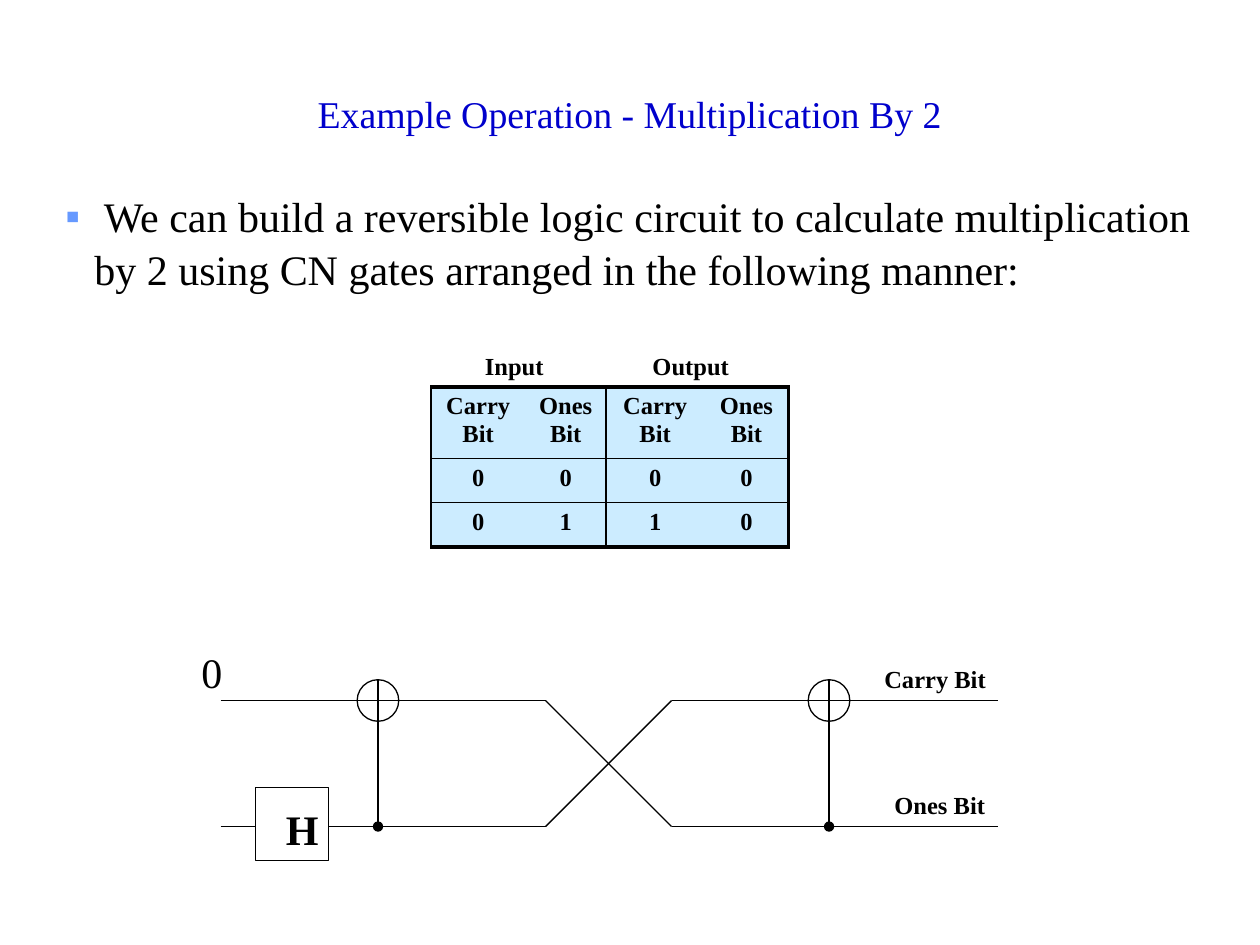
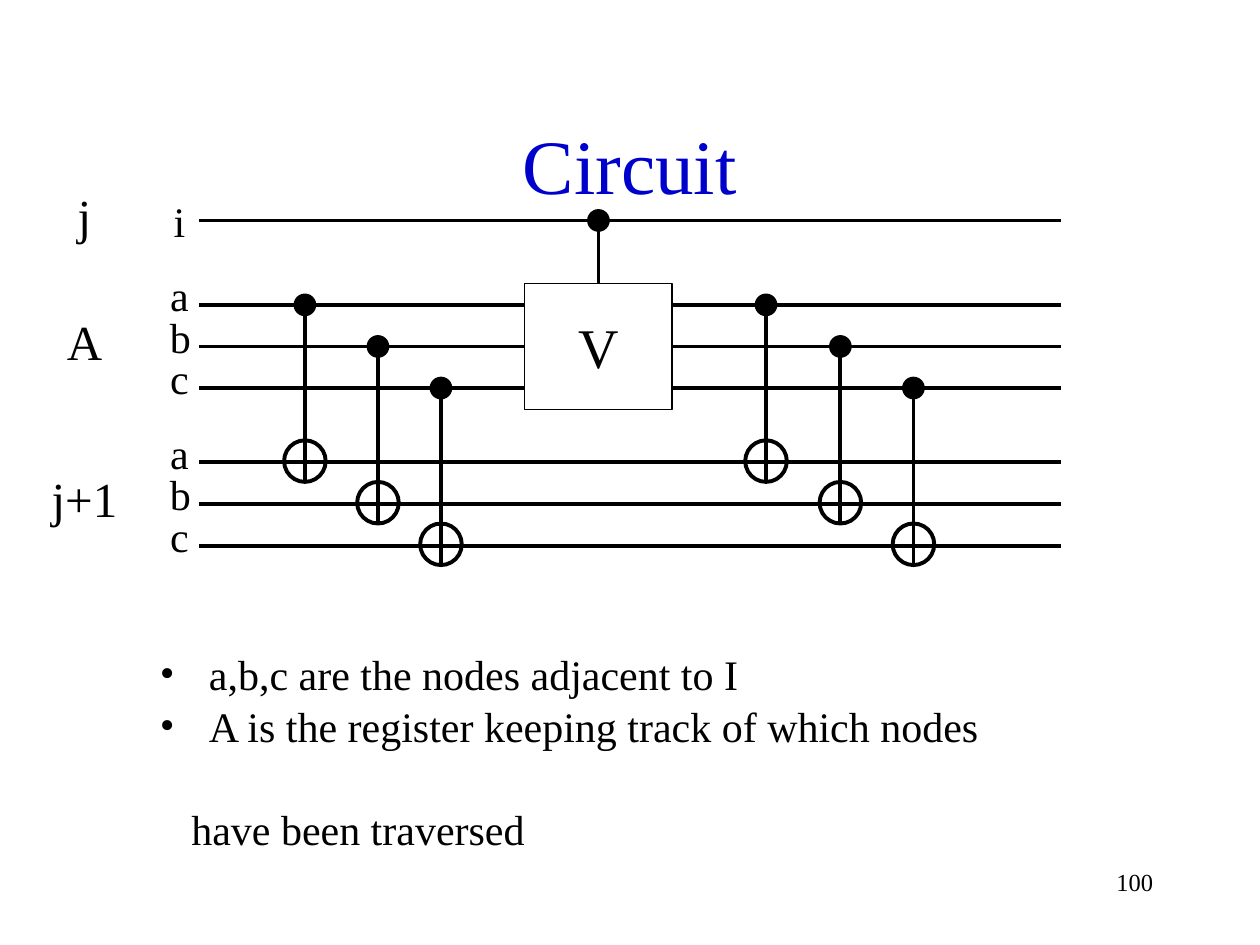
from dataclasses import dataclass

from lxml.etree import SubElement
from pptx import Presentation
from pptx.dml.color import RGBColor
from pptx.enum.shapes import MSO_CONNECTOR, MSO_SHAPE as Shp
from pptx.enum.text import MSO_ANCHOR as Anchor, PP_ALIGN as Align
from pptx.oxml.ns import qn
from pptx.shapes.autoshape import Shape
from pptx.shapes.connector import Connector
from pptx.slide import Slide
from pptx.table import _Cell as Cell
from pptx.text.text import _Paragraph as Paragraph
from pptx.util import Inches, Pt

BLACK = RGBColor(0x00, 0x00, 0x00)
WHITE = RGBColor(0xFF, 0xFF, 0xFF)
TITLE_BLUE = RGBColor(0x00, 0x00, 0xCC)
BULLET_BLUE = RGBColor(0x66, 0x99, 0xFF)
CELL_BLUE = RGBColor(0xCC, 0xEC, 0xFF)
FONT = "Times New Roman"
THIN, HEAVY = 0.75, 2.25
RULE = 1
TARGET = 0.33  # diameter of a target circle
DOT = 0.17     # diameter of a control dot
BODY_SPACING = 1.04


@dataclass
class Label:
    text: str
    left: float
    top: float
    width: float
    height: float
    size: float
    bold: bool = False
    align: Align = Align.LEFT
    color: RGBColor = BLACK
    anchor: Anchor = Anchor.TOP
    wrap: bool = True


@dataclass
class Wire:
    x1: float
    y1: float
    x2: float
    y2: float
    width: float = THIN
    dotted_end: bool = False


@dataclass
class BodyLine:
    text: str
    margin: float
    bullet: str = ""
    bullet_color: RGBColor = BLACK
    space_before: float = 0


def style(paragraph: Paragraph, size: float, bold: bool = False,
          color: RGBColor = BLACK) -> None:
    font = paragraph.font
    font.name, font.size, font.bold = FONT, Pt(size), bold
    font.color.rgb = color


def add_label(slide: Slide, label: Label) -> None:
    box = slide.shapes.add_textbox(Inches(label.left), Inches(label.top),
                                   Inches(label.width), Inches(label.height))
    frame = box.text_frame
    frame.word_wrap = label.wrap
    frame.vertical_anchor = label.anchor
    paragraph = frame.paragraphs[0]
    paragraph.text = label.text
    paragraph.alignment = label.align
    style(paragraph, label.size, label.bold, label.color)


def add_title(slide: Slide, text: str, top: float, height: float, size: float) -> None:
    add_label(slide, Label(text, 0.5, top, 9, height, size, align=Align.CENTER,
                           color=TITLE_BLUE, anchor=Anchor.MIDDLE))


def add_body(slide: Slide, lines: list[BodyLine], left: float, top: float,
             width: float, height: float) -> None:
    """Add 24-point text whose bullets hang by the line's margin."""
    frame = slide.shapes.add_textbox(Inches(left), Inches(top),
                                     Inches(width), Inches(height)).text_frame
    frame.word_wrap = True
    for number, line in enumerate(lines):
        paragraph = frame.add_paragraph() if number else frame.paragraphs[0]
        paragraph.text = line.text
        paragraph.line_spacing = BODY_SPACING
        if line.space_before:
            paragraph.space_before = Pt(line.space_before)
        props = paragraph._p.get_or_add_pPr()
        props.set("marL", str(Inches(line.margin)))
        if line.bullet:
            props.set("indent", str(-Inches(line.margin)))
            color = SubElement(props, qn("a:buClr"))
            SubElement(color, qn("a:srgbClr"), val=str(line.bullet_color))
            SubElement(props, qn("a:buFont"), typeface=FONT)
            SubElement(props, qn("a:buChar"), char=line.bullet)
        style(paragraph, 24)


def add_wire(slide: Slide, wire: Wire) -> Connector:
    line = slide.shapes.add_connector(
        MSO_CONNECTOR.STRAIGHT, Inches(wire.x1), Inches(wire.y1),
        Inches(wire.x2), Inches(wire.y2))
    line.line.width = Pt(wire.width)
    line.line.color.rgb = BLACK
    if wire.dotted_end:
        SubElement(line.line._get_or_add_ln(), qn("a:tailEnd"), type="oval")
    SubElement(line._element.spPr, qn("a:effectLst"))
    return line


def add_node(slide: Slide, kind: Shp, x: float, y: float, width: float, height: float,
             fill: RGBColor | None = None, line_width: float = THIN) -> Shape:
    """Add an outlined shape centred on (x, y)."""
    node = slide.shapes.add_shape(kind, Inches(x - width / 2), Inches(y - height / 2),
                                  Inches(width), Inches(height))
    node.shadow.inherit = False
    if fill is None:
        node.fill.background()
    else:
        node.fill.solid()
        node.fill.fore_color.rgb = fill
    node.line.color.rgb = BLACK
    node.line.width = Pt(line_width)
    return node


def add_dot(slide: Slide, x: float, y: float) -> None:
    add_node(slide, Shp.OVAL, x, y, DOT, DOT, BLACK)


def set_borders(cell: Cell, widths: dict[str, float]) -> None:
    """Draw the given sides (L, R, T, B); the other sides get no line."""
    props = cell._tc.get_or_add_tcPr()
    for index, side in enumerate("LRTB"):
        width = widths.get(side, 0)
        line = props.makeelement(qn(f"a:ln{side}"), {"w": str(Pt(width))})
        if width:
            fill = SubElement(line, qn("a:solidFill"))
            SubElement(fill, qn("a:srgbClr"), val=str(BLACK))
        else:
            SubElement(line, qn("a:noFill"))
        props.insert(index, line)


def add_truth_table(slide: Slide) -> None:
    rows = [["Carry Bit", "Ones Bit", "Carry Bit", "Ones Bit"],
            ["0", "0", "0", "0"],
            ["0", "1", "1", "0"]]
    col_widths, row_heights = [0.75, 0.64, 0.78, 0.67], [0.57, 0.35, 0.35]
    frame = slide.shapes.add_table(
        len(rows), len(col_widths), Inches(3.42), Inches(3.07),
        Inches(sum(col_widths)), Inches(sum(row_heights)))
    table = frame.table
    table.first_row = table.horz_banding = False
    for column, width in zip(table.columns, col_widths):
        column.width = Inches(width)
    last_row, last_col = len(rows) - 1, len(col_widths) - 1
    for r, values in enumerate(rows):
        table.rows[r].height = Inches(row_heights[r])
        for c, value in enumerate(values):
            cell = table.cell(r, c)
            cell.fill.solid()
            cell.fill.fore_color.rgb = CELL_BLUE
            paragraph = cell.text_frame.paragraphs[0]
            paragraph.text = value
            paragraph.alignment = Align.CENTER
            style(paragraph, 14, bold=True)
            borders = {"T": RULE if r else HEAVY,
                       "B": HEAVY if r == last_row else RULE}
            if c % 2 == 0:
                borders["L"] = RULE
            else:
                borders["R"] = HEAVY if c == last_col else RULE
            set_borders(cell, borders)


def build_multiplication(slide: Slide) -> None:
    carry_y, ones_y = 5.56, 6.56
    start, cross_start, cross_end, end = 1.75, 4.33, 5.33, 7.92

    add_title(slide, "Example Operation - Multiplication By 2", 0.69, 0.42, 21.6)
    add_body(slide, [BodyLine(" We can build a reversible logic circuit to calculate "
                              "multiplication by 2 using CN gates arranged in the "
                              "following manner:", 0.23, "▪", BULLET_BLUE)],
             0.42, 1.45, 9.17, 0.9)
    add_truth_table(slide)

    for y in (carry_y, ones_y):
        add_wire(slide, Wire(start, y, cross_start, y))
        add_wire(slide, Wire(cross_end, y, end, y))
    add_wire(slide, Wire(cross_start, carry_y, cross_end, ones_y))
    add_wire(slide, Wire(cross_start, ones_y, cross_end, carry_y))
    for x in (3, 6.58):
        add_node(slide, Shp.FLOWCHART_OR, x, carry_y, TARGET, TARGET)
        add_wire(slide, Wire(x, carry_y + TARGET / 2, x, ones_y, dotted_end=True))
    add_node(slide, Shp.RECTANGLE, 2.32, 6.54, 0.58, 0.58, WHITE)

    for label in (
        Label("Input", 3.75, 2.74, 0.73, 0.33, 14, bold=True),
        Label("Output", 5.08, 2.74, 0.92, 0.33, 14, bold=True),
        Label("Carry Bit", 6.92, 5.22, 1.17, 0.33, 14, bold=True),
        Label("Ones Bit", 7, 6.22, 1.08, 0.33, 14, bold=True),
        Label("0", 1.5, 5.08, 0.33, 0.5, 24),
        Label("H", 2.17, 6.33, 0.33, 0.5, 24, bold=True, align=Align.CENTER),
    ):
        add_label(slide, label)


def build_circuit(slide: Slide) -> None:
    index_y = 1.75
    source_ys = [2.42, 2.75, 3.08]
    target_ys = [3.67, 4, 4.33]
    gate_xs = [[2.42, 3, 3.5], [6.08, 6.67, 7.25]]
    v_x, v_y, v_height = 4.75, 2.75, 1

    add_title(slide, "Circuit", 0.67, 1.25, 44)
    add_body(slide, [
        BodyLine("a,b,c are the nodes adjacent to I", 0.39, "•"),
        BodyLine("A is the register keeping track of which nodes", 0.39, "•"),
        BodyLine("have been traversed", 0.25, space_before=28.8),
    ], 1.17, 5.08, 7.18, 1.7)
    add_label(slide, Label("100", 7.17, 6.83, 2.08, 0.5, 14, align=Align.RIGHT))

    for y in [index_y, *source_ys, *target_ys]:
        add_wire(slide, Wire(1.58, y, 8.42, y, HEAVY))
    v_gate = add_node(slide, Shp.RECTANGLE, v_x, v_y, 1.17, v_height, WHITE)
    v_gate.text_frame.word_wrap = False
    v_gate.text_frame.vertical_anchor = Anchor.MIDDLE
    v_label = v_gate.text_frame.paragraphs[0]
    v_label.text = "V"
    v_label.alignment = Align.CENTER
    style(v_label, 32)
    control = add_wire(slide, Wire(v_x, index_y, v_x, v_y - v_height / 2, HEAVY))
    control.end_connect(v_gate, 0)
    add_dot(slide, v_x, index_y)

    for xs in gate_xs:
        for x, source_y, target_y in zip(xs, source_ys, target_ys):
            add_wire(slide, Wire(x, source_y, x, target_y + TARGET / 2, HEAVY))
            add_dot(slide, x, source_y)
            add_node(slide, Shp.OVAL, x, target_y - 0.01, TARGET, TARGET,
                     line_width=HEAVY)

    wire_labels = [("i", index_y - 0.25)]
    for ys in (source_ys, target_ys):
        wire_labels += [(name, y - 0.33) for name, y in zip("abc", ys)]
    for name, top in wire_labels:
        add_label(slide, Label(name, 1.25, top, 0.35, 0.5, 24,
                               align=Align.CENTER, wrap=False))
    for name, top in (("j", 1.42), ("A", 2.42), ("j+1", 3.67)):
        add_label(slide, Label(name, 0.31, top, 0.72, 0.57, 28,
                               align=Align.CENTER, wrap=False))


def main() -> None:
    deck = Presentation()
    deck.slide_width, deck.slide_height = Inches(10), Inches(7.5)
    blank = deck.slide_layouts[6]
    for build in (build_multiplication, build_circuit):
        build(deck.slides.add_slide(blank))
    deck.save("out.pptx")


if __name__ == "__main__":
    main()
